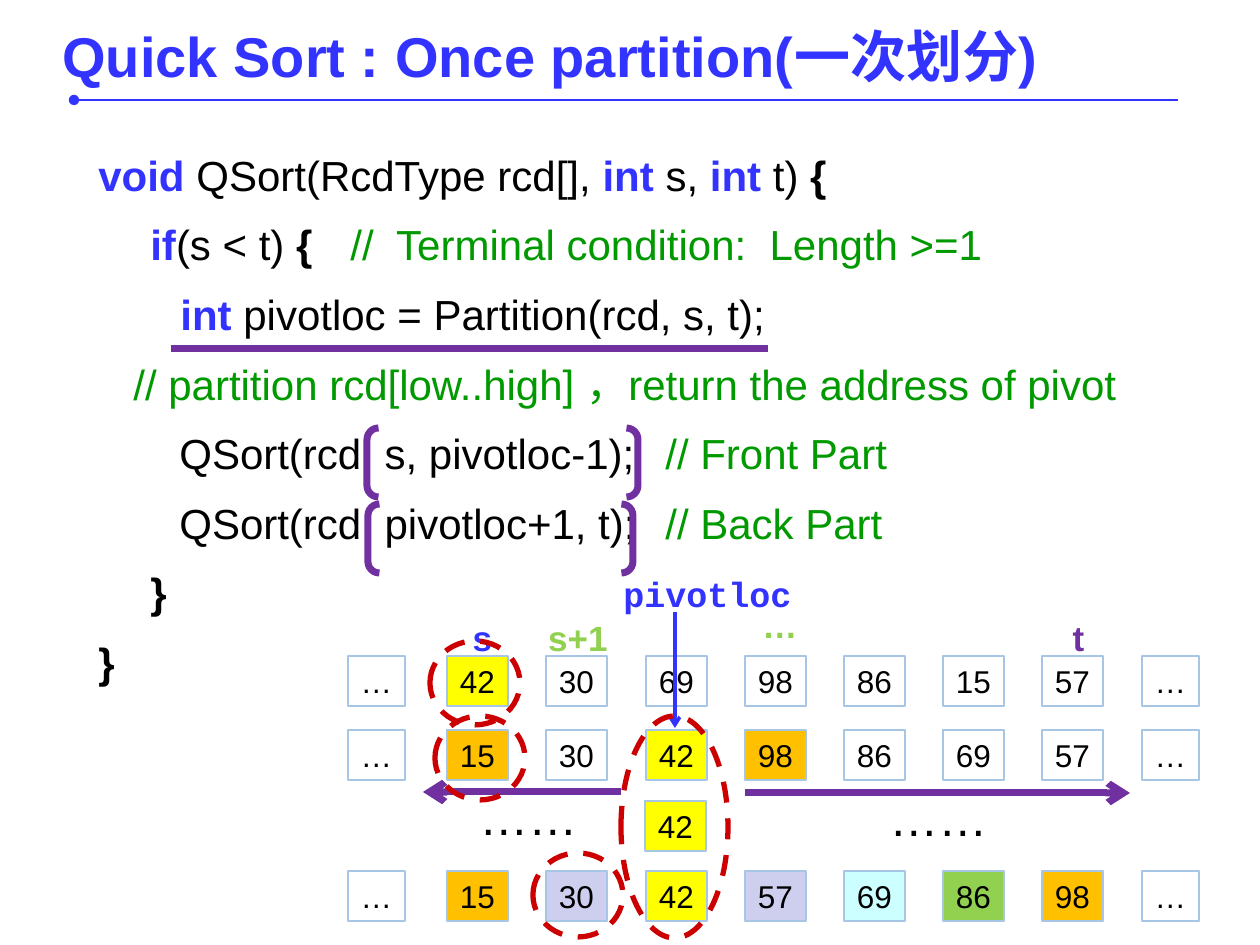
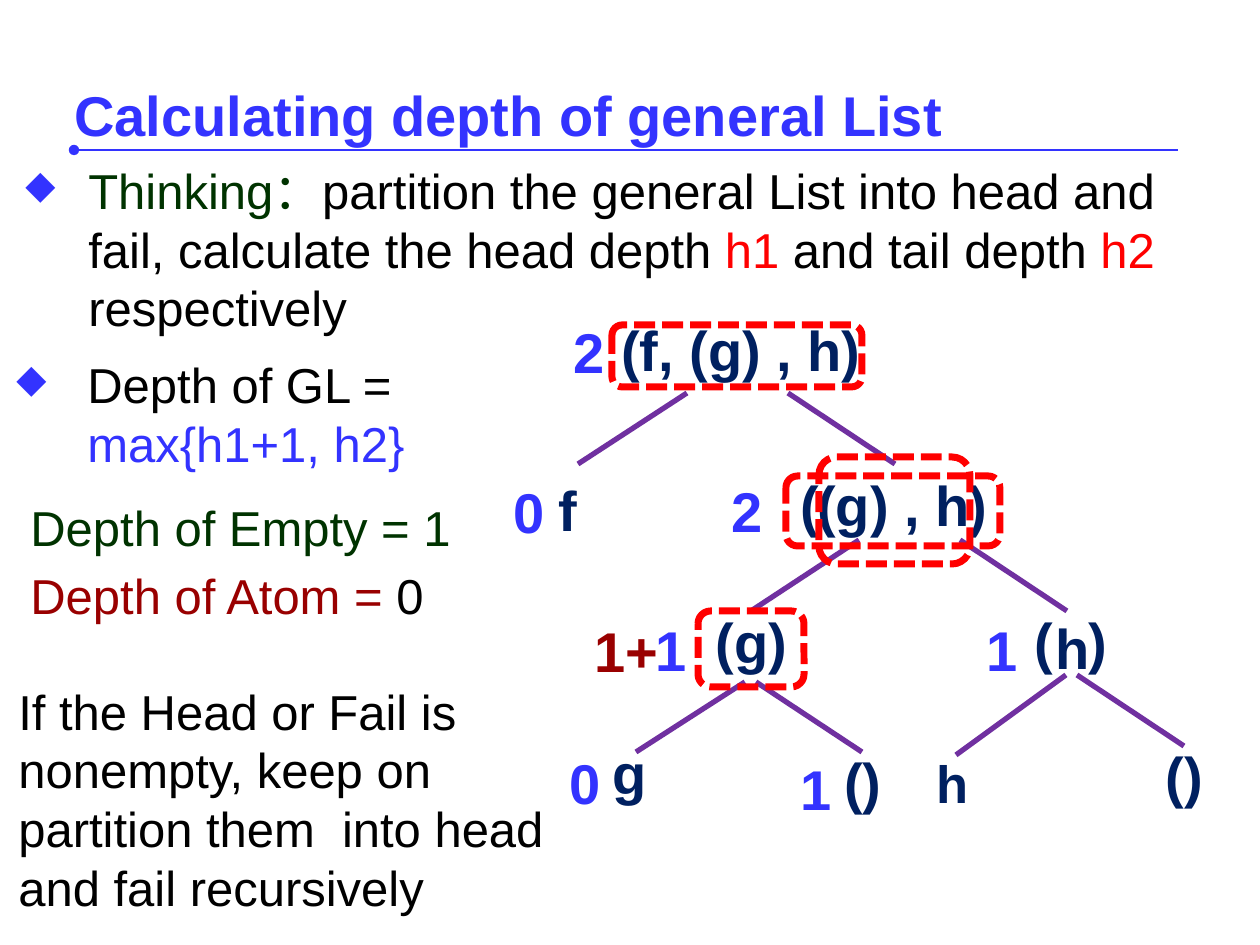
from lxml import etree
from pptx import Presentation
from pptx.dml.color import RGBColor
from pptx.enum.dml import MSO_LINE
from pptx.enum.shapes import MSO_CONNECTOR, MSO_SHAPE
from pptx.enum.text import MSO_ANCHOR, MSO_AUTO_SIZE, PP_ALIGN
from pptx.oxml.ns import qn
from pptx.util import Emu, Pt

SCALE = 914400 // 126
BLUE = RGBColor(0x33, 0x33, 0xFF)
BLACK = RGBColor(0, 0, 0)
GREEN = RGBColor(0, 0x99, 0)
DARK_GREEN = RGBColor(0, 0x33, 0)
LIME = RGBColor(0x92, 0xD0, 0x50)
PURPLE = RGBColor(0x70, 0x30, 0xA0)
NAVY = RGBColor(0, 0x20, 0x60)
RED = RGBColor(0xFF, 0, 0)
CRIMSON = RGBColor(0xCC, 0, 0)
MAROON = RGBColor(0x99, 0, 0)
YELLOW = RGBColor(0xFF, 0xFF, 0)
ORANGE = RGBColor(0xFF, 0xC0, 0)
LAVENDER = RGBColor(0xCE, 0xCE, 0xEF)
CYAN = RGBColor(0xCC, 0xFF, 0xFF)
CELL_BORDER = RGBColor(0xA7, 0xC6, 0xE5)
LEFT, CENTER = PP_ALIGN.LEFT, PP_ALIGN.CENTER
BOTTOM = MSO_ANCHOR.BOTTOM
GROW = MSO_AUTO_SIZE.SHAPE_TO_FIT_TEXT
DASH, SHORT_DASH = MSO_LINE.DASH, MSO_LINE.SQUARE_DOT
RECTANGLE, ELLIPSE = MSO_SHAPE.RECTANGLE, MSO_SHAPE.OVAL
ROUNDED, BRACKETS = MSO_SHAPE.ROUNDED_RECTANGLE, MSO_SHAPE.DOUBLE_BRACKET
STRAIGHT = MSO_CONNECTOR.STRAIGHT


def px(*lengths):
    return [Emu(length * SCALE) for length in lengths]


def child(parent, tag, **attributes):
    return etree.SubElement(parent, qn(tag), attributes)


class Painter:
    font = "Arial"

    def __init__(self):
        self.deck = Presentation()
        self.deck.slide_width, self.deck.slide_height = px(1260, 945)
        self.page = None

    def new_page(self, title, title_box, rule_y):
        self.page = self.deck.slides.add_slide(self.deck.slide_layouts[6])
        frame = self.text(title_box, [[(title, BLUE, True)]], 32)
        frame.vertical_anchor = BOTTOM
        self.line((74, rule_y), (1178, rule_y), BLUE, 1.5, head="oval")

    def fill_text(self, frame, paragraphs, size, align=LEFT, font=font,
                  before=0.0, spacing=None):
        for number, spans in enumerate(paragraphs):
            para = frame.add_paragraph() if number else frame.paragraphs[0]
            para.alignment = align
            if before:
                para.space_before = Pt(before)
            if spacing:
                para.line_spacing = Pt(spacing)
            for words, color, bold in spans:
                span = para.add_run()
                span.text = words
                span.font.name = font
                span.font.size = Pt(size)
                span.font.bold = bold
                span.font.color.rgb = color

    def text(self, at, paragraphs, size, wrap=True, **style):
        frame = self.page.shapes.add_textbox(*px(*at)).text_frame
        frame.word_wrap = wrap
        if not wrap:
            frame.auto_size = GROW
        self.fill_text(frame, paragraphs, size, **style)
        return frame

    def label(self, at, words, color, size=32, bold=True, **style):
        return self.text(at, [[(words, color, bold)]], size, wrap=False, **style)

    def indent(self, para, first, margin=0, tab=None):
        properties = para._p.get_or_add_pPr()
        properties.set("marL", str(margin * SCALE))
        properties.set("indent", str(first * SCALE))
        if tab:
            stops = child(properties, "a:tabLst")
            child(stops, "a:tab", pos=str(tab * SCALE), algn="l")

    def bullet(self, para, hang):
        self.indent(para, -hang, hang)
        properties = para._p.get_or_add_pPr()
        child(child(properties, "a:buClr"), "a:srgbClr", val=str(BLUE))
        child(properties, "a:buSzPct", val="80000")
        child(properties, "a:buChar", char="◆")

    def shape(self, kind, at, color, width, dash=None, fill=None):
        box = self.page.shapes.add_shape(kind, *px(*at))
        box.shadow.inherit = False
        if fill is None:
            box.fill.background()
        else:
            box.fill.solid()
            box.fill.fore_color.rgb = fill
        box.line.color.rgb = color
        box.line.width = Pt(width)
        if dash:
            box.line.dash_style = dash
        return box

    def cell(self, x, y, width, words, fill):
        box = self.shape(RECTANGLE, (x, y, width, 50), CELL_BORDER, 0.75, fill=fill)
        box.text_frame.word_wrap = False
        self.fill_text(box.text_frame, [[(words, BLACK, False)]], 18, align=CENTER)

    def line(self, start, end, color, width, head=None, tail=None):
        connector = self.page.shapes.add_connector(STRAIGHT, *px(*start, *end))
        connector.line.color.rgb = color
        connector.line.width = Pt(width)
        stroke = connector.line._get_or_add_ln()
        if head:
            child(stroke, "a:headEnd", type=head)
        if tail:
            child(stroke, "a:tailEnd", type=tail)
        child(connector._element.spPr, "a:effectLst")


painter = Painter()

painter.new_page("Quick Sort : Once partition(一次划分)", (50, 5, 1183, 90), 100)

code = [
    (0, None, [("void ", BLUE, True), ("QSort(RcdType rcd[], ", BLACK, False),
               ("int ", BLUE, True), ("s, ", BLACK, False), ("int ", BLUE, True),
               ("t) ", BLACK, False), ("{", BLACK, True)]),
    (52, 330, [("if", BLUE, True), ("(s < t) ", BLACK, False), ("{\t", BLACK, True),
               ("//  Terminal condition:  Length >=1", GREEN, False)]),
    (82, None, [("int ", BLUE, True),
                ("pivotloc = Partition(rcd, s, t);", BLACK, False)]),
    (35, None, [("// partition rcd[low..high] ，return the address of pivot",
                 GREEN, False)]),
    (81, 582, [("QSort(rcd, s, pivotloc-1);\t", BLACK, False),
               ("// Front Part", GREEN, False)]),
    (81, 572, [("QSort(rcd, pivotloc+1, t);\t", BLACK, False),
               ("// Back Part", GREEN, False)]),
    (52, None, [("}", BLACK, True)]),
    (0, None, [("}", BLACK, True)]),
]
frame = painter.text((86, 132, 1112, 673), [spans for _, _, spans in code], 24,
                     before=4.8, spacing=35)
for para, (first, tab, _) in zip(frame.paragraphs, code):
    painter.indent(para, first, tab=tab)

array_rows = [
    (656, "… 42 30 69 98 86 15 57 …", {1: YELLOW}),
    (730, "… 15 30 42 98 86 69 57 …", {1: ORANGE, 3: YELLOW, 4: ORANGE}),
    (871, "… 15 30 42 57 69 86 98 …",
     {1: ORANGE, 2: LAVENDER, 3: YELLOW, 4: LAVENDER, 5: CYAN, 6: LIME, 7: ORANGE}),
]
for y, values, fills in array_rows:
    for column, value in enumerate(values.split()):
        width = 57 if value == "…" else 61
        painter.cell(round(348 + 99.2 * column), y, width, value, fills.get(column))
painter.cell(645, 801, 61, "42", YELLOW)

for x, y, width, words, color in [
    (460, 610, 45, "s", BLUE), (535, 610, 86, "s+1", LIME),
    (750, 597, 60, "…", LIME), (1060, 610, 37, "t", PURPLE),
]:
    painter.label((x, y, width, 55), words, color, 20, align=CENTER)
for x, y in [(467, 780), (877, 781)]:
    painter.label((x, y, 125, 71), "……", BLACK, 28, bold=False)

frame = painter.text((585, 572, 208, 43), [[("pivotloc", BLUE, True)]], 20,
                     align=CENTER, font="Courier New")
frame.margin_left = frame.margin_right = frame.margin_top = frame.margin_bottom = 0
painter.indent(frame.paragraphs[0], 37)

painter.line((675, 612), (675, 728), BLUE, 2, tail="arrow")
painter.line((745, 793), (1130, 793), PURPLE, 4, tail="arrow")
painter.line((621, 792), (423, 792), PURPLE, 4, tail="arrow")
painter.line((171, 349), (768, 349), PURPLE, 4)
for at in [(367, 428, 271, 69), (368, 504, 265, 69)]:
    painter.shape(BRACKETS, at, PURPLE, 4)
for at in [(430, 641, 90, 84), (435, 716, 90, 84), (533, 853, 90, 84),
           (621, 716, 107, 222)]:
    painter.shape(ELLIPSE, at, CRIMSON, 3, DASH)

painter.new_page("Calculating depth of general List", (62, 50, 1111, 104), 150)

thinking = [("Thinking：", DARK_GREEN, False),
            ("partition the general List into head and fail, "
             "calculate the head depth ", BLACK, False),
            ("h1", RED, False), (" and tail depth ", BLACK, False),
            ("h2 ", RED, False), ("respectively", BLACK, False)]
depth = [("Depth of GL = ", BLACK, False), ("max{h1+1, h2}", BLUE, False)]
base_cases = [[("Depth of Empty = 1", DARK_GREEN, False)],
              [("Depth of Atom = ", MAROON, False), ("0", BLACK, False)]]
advice = [("If the Head or Fail is nonempty, keep on partition them  "
           "into head and fail recursively", BLACK, False)]
for at, paragraphs, hang in [
    ((13, 154, 1232, 186), [thinking], 63),
    ((4, 348, 498, 132), [depth], 71),
    ((18, 491, 489, 165), base_cases, None),
    ((6, 675, 562, 239), [advice], None),
]:
    frame = painter.text(at, paragraphs, 28, before=5.6)
    if hang:
        painter.bullet(frame.paragraphs[0], hang)

for start, end in [
    ((687, 393), (578, 464)), ((788, 393), (895, 464)),
    ((859, 540), (751, 611)), ((960, 540), (1067, 611)),
    ((745, 682), (636, 752)), ((756, 682), (862, 752)),
    ((1066, 675), (956, 755)), ((1077, 675), (1184, 746)),
]:
    painter.line(start, end, PURPLE, 3)

for x, y, width, words in [
    (609, 309, 267, "(f, (g) , h)"), (546, 469, 44, "f"),
    (805, 464, 179, "(g) , h"), (788, 464, 44, "("), (956, 464, 44, ")"),
    (703, 601, 97, "(g)"), (1043, 607, 60, "h"),
    (1022, 601, 44, "("), (1076, 601, 44, ")"),
    (600, 732, 60, "g"), (832, 741, 63, "()"), (1153, 735, 63, "()"),
]:
    painter.label((x, y, width, 81), words, NAVY, before=6.4)
painter.label((924, 745, 58, 77), "h", NAVY, 30, before=6)

for x, y, depth_value in [
    (561, 311, "2"), (501, 471, "0"), (719, 470, "2"), (643, 609, "1"),
    (974, 609, "1"), (557, 742, "0"), (788, 748, "1"),
]:
    painter.label((x, y, 57, 81), depth_value, BLUE, before=6.4)
painter.label((582, 610, 89, 81), "1+", MAROON, before=6.4)

for at in [(612, 325, 250, 62), (786, 476, 214, 70), (698, 611, 106, 76),
           (819, 457, 151, 107)]:
    painter.shape(ROUNDED, at, RED, 4, SHORT_DASH)

painter.deck.save("out.pptx")
